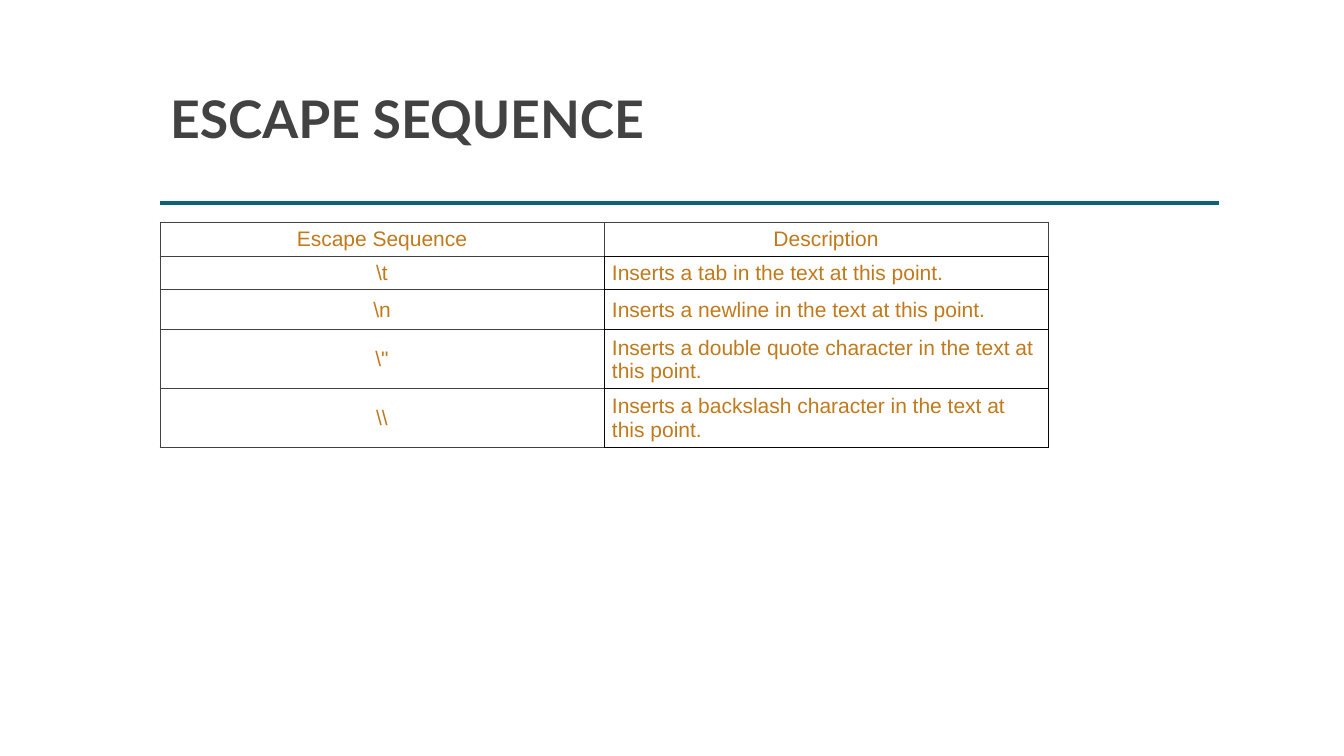
from lxml.etree import SubElement
from pptx import Presentation
from pptx.dml.color import RGBColor
from pptx.enum.shapes import MSO_CONNECTOR
from pptx.enum.text import MSO_ANCHOR, MSO_AUTO_SIZE, PP_ALIGN
from pptx.oxml import parse_xml
from pptx.oxml.ns import nsdecls, qn
from pptx.util import Emu, Pt

TEAL = RGBColor(0x0B, 0x63, 0x74)
GRAY = RGBColor(0x42, 0x42, 0x42)
BLACK = RGBColor(0x08, 0x08, 0x08)
AMBER = RGBColor(0xC0, 0x79, 0x1B)
WHITE = RGBColor(0xFF, 0xFF, 0xFF)

ROWS = [
    (34, "Escape Sequence", "Description"),
    (34, r"\t", "Inserts a tab in the text at this point."),
    (40, r"\n", "Inserts a newline in the text at this point."),
    (59, r"\"", "Inserts a double quote character in the text at this point."),
    (59, r"\\", "Inserts a backslash character in the text at this point."),
]
LEFT = 160
COLUMN = 444


def px(n):
    return Emu(round(n * 914400 / 100.8))


def set_borders(cell, colors):
    tcPr = cell._tc.get_or_add_tcPr()
    for i, (side, color) in enumerate(zip("LRTB", colors)):
        tcPr.insert(i, parse_xml(
            f'<a:ln{side} {nsdecls("a")} w="{Pt(0.75)}"><a:solidFill>'
            f'<a:srgbClr val="{color}"/></a:solidFill></a:ln{side}>'))


prs = Presentation()
prs.slide_width, prs.slide_height = px(1344), px(756)
s = prs.slides.add_slide(prs.slide_layouts[5])

rule = s.shapes.add_connector(MSO_CONNECTOR.STRAIGHT, px(LEFT), px(203), px(1219), px(203))
rule.line.color.rgb = TEAL
rule.line.width = Pt(2.5)
SubElement(rule._element.spPr, qn("a:effectLst"))

title = s.shapes.title
title.left, title.top, title.width, title.height = px(LEFT), px(89), px(1059), px(116)
tf = title.text_frame
tf.text = "ESCAPE SEQUENCE"
tf.word_wrap = True
tf.auto_size = MSO_AUTO_SIZE.NONE
tf.vertical_anchor = MSO_ANCHOR.TOP
p = tf.paragraphs[0]
p.alignment = PP_ALIGN.LEFT
p.line_spacing = 0.9
p.font.name = "Lato"
p.font.size = Pt(37)
p.font.bold = True
p.font.color.rgb = GRAY

height = sum(row[0] for row in ROWS)
table = s.shapes.add_table(len(ROWS), 2, px(LEFT), px(222), px(2 * COLUMN), px(height)).table
table.first_row = False
table.horz_banding = False
for column in table.columns:
    column.width = px(COLUMN)

for r, (row_height, *texts) in enumerate(ROWS):
    table.rows[r].height = px(row_height)
    for c, text in enumerate(texts):
        cell = table.cell(r, c)
        cell.text = text
        cell.vertical_anchor = MSO_ANCHOR.MIDDLE
        cell.margin_left = cell.margin_right = px(8)
        cell.margin_top = cell.margin_bottom = px(4)
        cell.fill.solid()
        cell.fill.fore_color.rgb = WHITE
        p = cell.text_frame.paragraphs[0]
        p.alignment = PP_ALIGN.LEFT if r and c else PP_ALIGN.CENTER
        p.font.name = "Arial"
        p.font.size = Pt(15)
        p.font.color.rgb = AMBER
        if c == 0:
            set_borders(cell, [GRAY, BLACK if r else GRAY, GRAY, GRAY])
        else:
            set_borders(cell, [BLACK] * 4 if r else [GRAY, GRAY, GRAY, BLACK])

prs.save("out.pptx")
